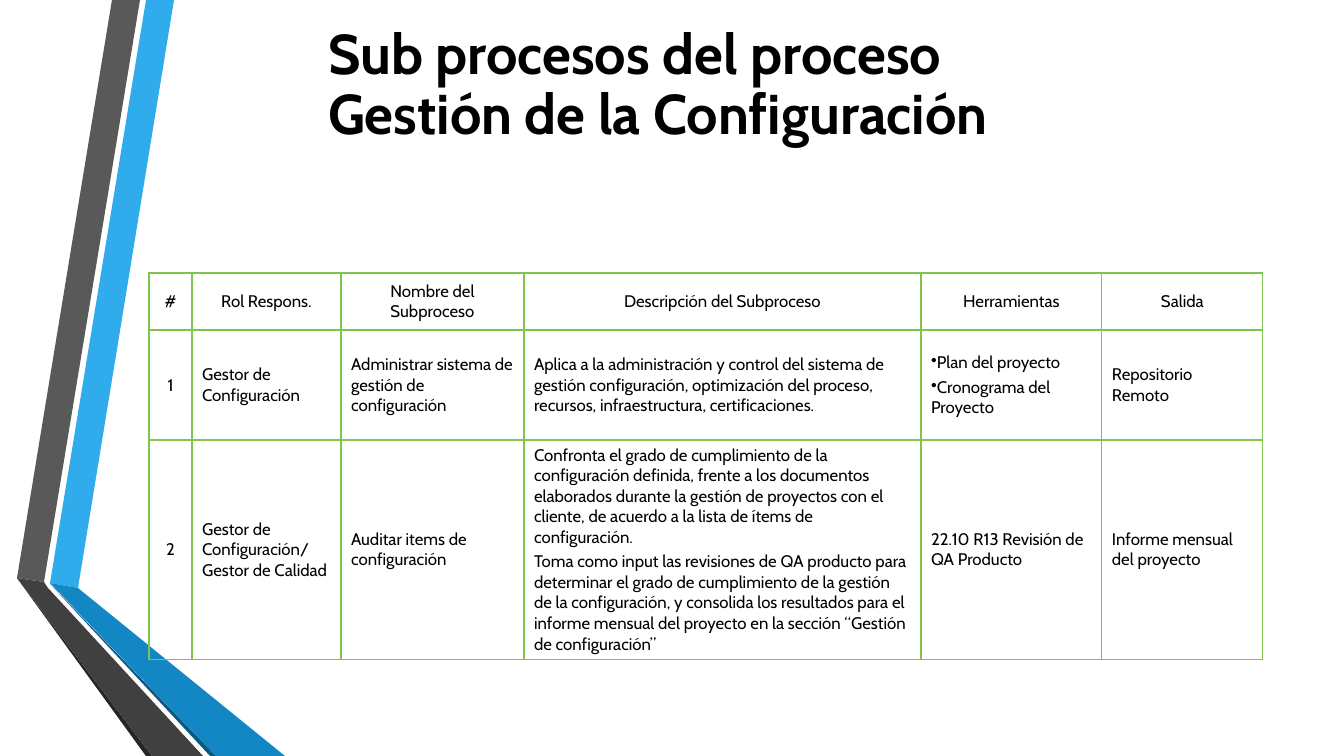
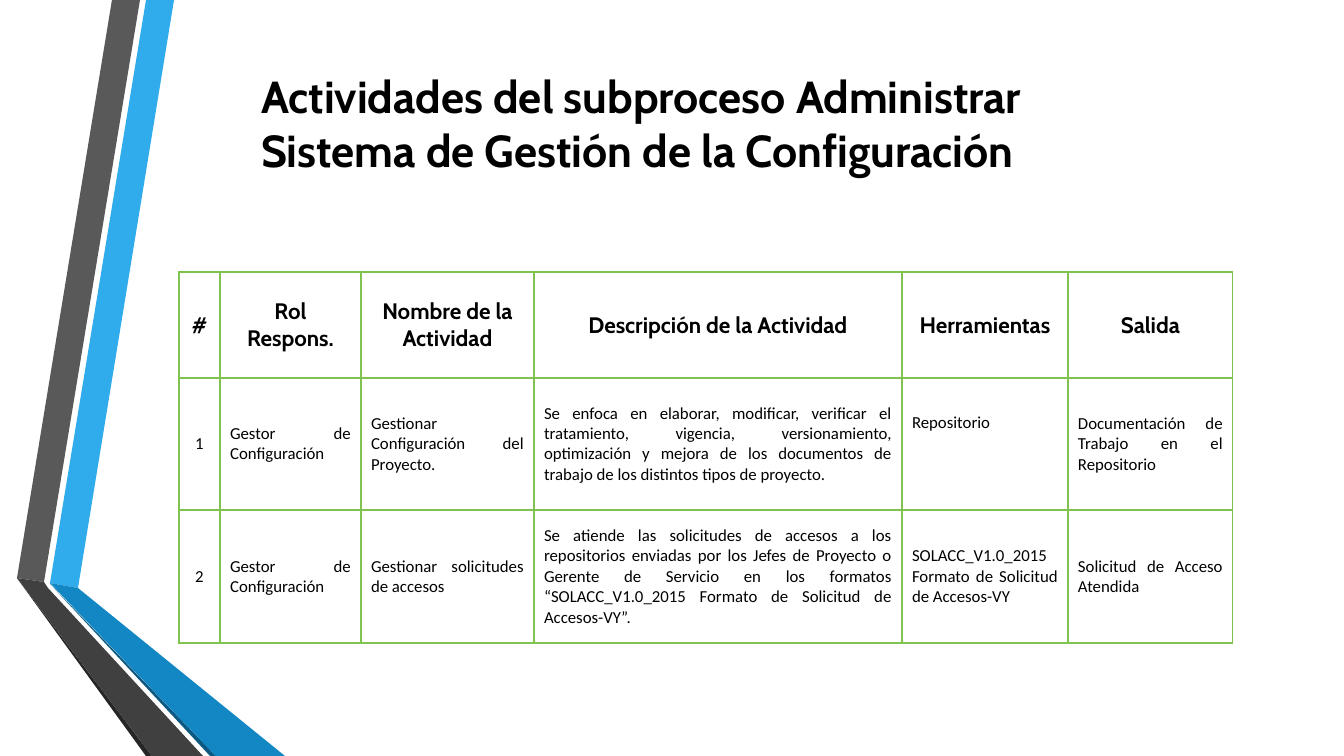
"""Build two slides on configuration management: subprocesses and activities."""
from lxml.etree import SubElement
from pptx import Presentation
from pptx.dml.color import RGBColor
from pptx.enum.text import MSO_ANCHOR, MSO_AUTO_SIZE, PP_ALIGN
from pptx.oxml import parse_xml
from pptx.oxml.ns import nsdecls, qn
from pptx.util import Pt

SCALE = 914400 / 100.8
BLACK, GREEN = "000000", "80C34F"
BULLET = "•"
PARAGRAPH_GAP = 4
BANDS = [
    ("30ACEC", [(50, 583), (78, 588), (174, 0), (146, 0)]),
    ("595959", [(140, 0), (112, 0), (17, 578), (44, 582)]),
    ("262626", [(17, 578), (146, 756), (152, 756)]),
    ("0C5A82", [(50, 584), (210, 756), (216, 756)]),
    ("1287C3", [(50, 583), (216, 756), (285, 756), (78, 588)]),
    ("404040", [(203, 756), (48, 588), (44, 582), (17, 578), (152, 756)]),
]
TITLE_FRAME = {"word_wrap": True, "auto_size": MSO_AUTO_SIZE.NONE,
               "vertical_anchor": MSO_ANCHOR.TOP}
SLIDES = [
    {
        "title": ["Sub procesos del proceso", "Gestión de la Configuración"],
        "title_box": (318, 21, 839, 132),
        "title_format": {"alignment": PP_ALIGN.LEFT, "line_spacing": 0.9},
        "title_font": {"name": "Cabin", "size": Pt(40), "bold": True},
        "corner": (149, 273),
        "columns": [43, 149, 183, 397, 181, 161],
        "rows": [57, 110, 219],
        "header_font": {"name": "Cabin", "size": Pt(12), "bold": False},
        "body_font": {"name": "Cabin", "size": Pt(12), "bold": False},
        "body_align": PP_ALIGN.LEFT,
        "bottom_margins": {},
        "cells": [
            ["#", "Rol Respons.", "Nombre del Subproceso",
             "Descripción del Subproceso", "Herramientas", "Salida"],
            ["1", "Gestor de Configuración",
             "Administrar sistema de gestión de configuración",
             "Aplica a la administración y control del sistema de gestión "
             "configuración, optimización del proceso, recursos, "
             "infraestructura, certificaciones.",
             "•Plan del proyecto\n•Cronograma del Proyecto",
             "Repositorio Remoto"],
            ["2", "Gestor de Configuración/ Gestor de Calidad",
             "Auditar items de configuración",
             "Confronta el grado de cumplimiento de la configuración definida, "
             "frente a los documentos elaborados durante la gestión de "
             "proyectos con el cliente, de acuerdo a la lista de ítems de "
             "configuración.\n"
             "Toma como input las revisiones de QA producto para determinar el "
             "grado de cumplimiento de la gestión de la configuración, y "
             "consolida los resultados para el informe mensual del proyecto en "
             "la sección “Gestión de configuración”",
             "22.10 R13 Revisión de QA Producto",
             "Informe mensual del proyecto"],
        ],
    },
    {
        "title": ["Actividades del subproceso Administrar Sistema de Gestión "
                  "de la Configuración"],
        "title_box": (251, 64, 910, 118),
        "title_format": {"alignment": PP_ALIGN.LEFT, "line_spacing": 1.0},
        "title_font": {"name": "Cabin", "size": Pt(32), "bold": True},
        "corner": (179, 272),
        "columns": [41, 141, 173, 368, 166, 165],
        "rows": [106, 132, 133],
        "header_font": {"name": "Cabin", "size": Pt(16), "bold": True},
        "body_font": {"name": "Calibri", "size": Pt(12), "bold": False},
        "body_align": PP_ALIGN.JUSTIFY,
        "bottom_margins": {(1, 4): 47},
        "cells": [
            ["#", "Rol Respons.", "Nombre de la Actividad",
             "Descripción de la Actividad", "Herramientas", "Salida"],
            ["1", "Gestor de Configuración",
             "Gestionar Configuración del Proyecto.",
             "Se enfoca en elaborar, modificar, verificar el tratamiento, "
             "vigencia, versionamiento, optimización y mejora de los documentos "
             "de trabajo de los distintos tipos de proyecto.",
             "Repositorio", "Documentación de Trabajo en el Repositorio"],
            ["2", "Gestor de Configuración", "Gestionar solicitudes de accesos",
             "Se atiende las solicitudes de accesos a los repositorios enviadas "
             "por los Jefes de Proyecto o Gerente de Servicio en los formatos "
             "“SOLACC_V1.0_2015 Formato de Solicitud de Accesos-VY”.",
             "SOLACC_V1.0_2015 Formato de Solicitud de Accesos-VY",
             "Solicitud de Acceso Atendida"],
        ],
    },
]


def px(length):
    """Turn px into EMU."""
    return round(length * SCALE)


def paint(fill, colour):
    """Give a fill one solid colour."""
    fill.solid()
    fill.fore_color.rgb = RGBColor.from_string(colour)


prs = Presentation()
prs.slide_width, prs.slide_height = px(1344), px(756)
layout = prs.slide_layouts[5]

for number, content in enumerate(SLIDES):
    slide = prs.slides.add_slide(layout)

    if number == 0:
        for depth, (colour, outline) in enumerate(BANDS):
            pen = slide.shapes.build_freeform(*outline[0], scale=SCALE)
            pen.add_line_segments(outline[1:], close=True)
            band = pen.convert_to_shape()
            band.shadow.inherit = False
            band.line.fill.background()
            paint(band.fill, colour)
            layout.shapes.element.insert(2 + depth, band.element)

    title = slide.shapes.title
    for side, length in zip(("left", "top", "width", "height"), content["title_box"]):
        setattr(title, side, px(length))
    for attribute, value in TITLE_FRAME.items():
        setattr(title.text_frame, attribute, value)
    title.text_frame.text = "\n".join(content["title"])
    styled = [(paragraph, content["title_format"], content["title_font"])
              for paragraph in title.text_frame.paragraphs]

    columns, rows = content["columns"], content["rows"]
    box = (*content["corner"], sum(columns), sum(rows))
    grid = slide.shapes.add_table(len(rows), len(columns), *map(px, box)).table
    grid.first_row = grid.horz_banding = False
    for column, width in zip(grid.columns, columns):
        column.width = px(width)
    for row, height in zip(grid.rows, rows):
        row.height = px(height)

    for r, texts in enumerate(content["cells"]):
        for c, text in enumerate(texts):
            cell = grid.cell(r, c)
            cell.text = text
            cell.vertical_anchor = MSO_ANCHOR.MIDDLE
            cell.margin_bottom = px(content["bottom_margins"].get((r, c), 5))
            for edge in "LRTB":
                cell._tc.get_or_add_tcPr().append(parse_xml(
                    f'<a:ln{edge} {nsdecls("a")} w="{Pt(1)}"><a:solidFill>'
                    f'<a:srgbClr val="{GREEN}"/></a:solidFill></a:ln{edge}>'))
            cell.fill.background()

            centred = r == 0 or c == 0
            font = content["header_font" if r == 0 else "body_font"]
            for order, paragraph in enumerate(cell.text_frame.paragraphs):
                layout_format = {
                    "alignment": PP_ALIGN.CENTER if centred else content["body_align"],
                    "space_before": px(PARAGRAPH_GAP) if order else 0,
                }
                styled.append((paragraph, layout_format, font))

    for paragraph, layout_format, font in styled:
        for attribute, value in layout_format.items():
            setattr(paragraph, attribute, value)
        for run in paragraph.runs:
            for attribute, value in font.items():
                setattr(run.font, attribute, value)
            paint(run.font.fill, BLACK)
        if paragraph.text.startswith(BULLET):
            paragraph.runs[0].text = paragraph.text[len(BULLET):]
            properties = paragraph._p.get_or_add_pPr()
            properties.set("marL", "0")
            properties.set("indent", "0")
            SubElement(properties, qn("a:buChar"), char=BULLET)

prs.save("out.pptx")
